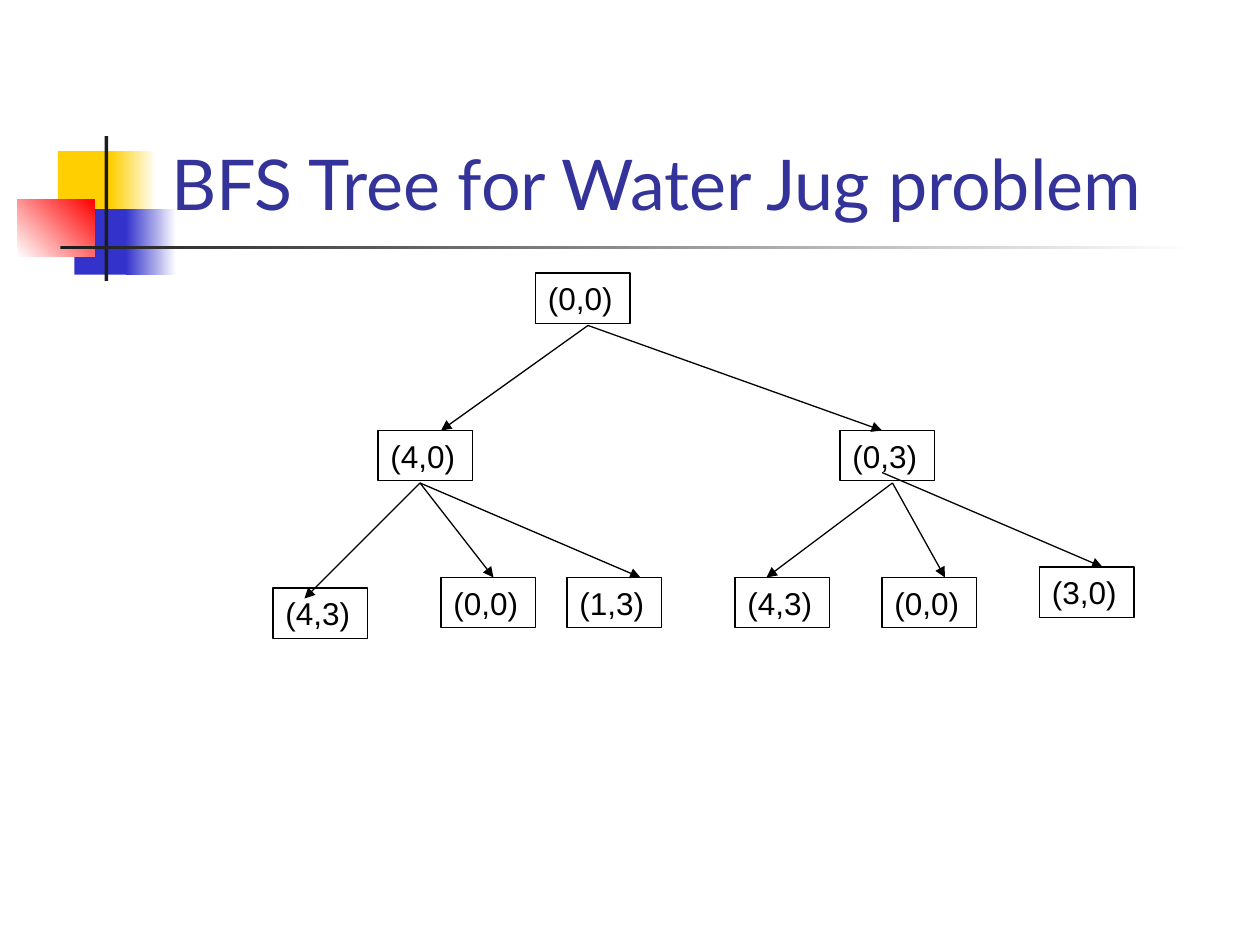
import pptx
import pptx.util
import pptx.dml.color
import pptx.enum.shapes
import pptx.enum.text
import pptx.oxml.ns
import lxml.etree

RGBColor = pptx.dml.color.RGBColor
BLACK = RGBColor(0x00, 0x00, 0x00)
WHITE = RGBColor(0xFF, 0xFF, 0xFF)
INK = RGBColor(0x1C, 0x1C, 0x1C)
YELLOW = RGBColor(0xFF, 0xCF, 0x01)
BLUE = RGBColor(0x33, 0x33, 0xCC)
RED = RGBColor(0xFF, 0x00, 0x00)
NAVY = RGBColor(0x33, 0x33, 0x99)

CELL = pptx.util.Inches(1) / 12
COLS, ROWS = 120, 90
NODE_W, NODE_H = 9, 4.8


def grid(*counts):
    return [round(n * CELL) for n in counts]


def add_rect(s, box):
    kind = pptx.enum.shapes.MSO_SHAPE.RECTANGLE
    sp = s.shapes.add_shape(kind, *grid(*box))
    sp.shadow.inherit = False
    return sp


def add_run(p, text, font, size, color):
    r = p.add_run()
    r.text = text
    r.font.name = font
    r.font.size = pptx.util.Pt(size)
    r.font.color.rgb = color


def add_ornament(s, box):
    x, y, w, h = box
    parts = [
        (0.32, 0.12, 0.48, 0.52, YELLOW, YELLOW, 0),
        (0.74, 0.12, 0.36, 0.52, YELLOW, WHITE, 0),
        (0.45, 0.58, 0.46, 0.52, BLUE, BLUE, 0),
        (0.86, 0.58, 0.40, 0.52, BLUE, WHITE, 0),
        (0.00, 0.50, 0.61, 0.46, WHITE, RED, 45),
        (0.69, 0.00, 0.03, 1.15, INK, INK, 0),
        (0.34, 0.87, 9.00, 0.03, INK, WHITE, 0),
    ]
    for left, top, width, height, start, end, angle in parts:
        sp = add_rect(s, (x + left * w / 9.34, y + top * h / 1.15,
                          width * w / 9.34, height * h / 1.15))
        sp.line.fill.background()
        if start == end:
            sp.fill.solid()
            sp.fill.fore_color.rgb = start
        else:
            sp.fill.gradient()
            sp.fill.gradient_angle = angle
            for stop, color in zip(sp.fill.gradient_stops, (start, end)):
                stop.color.rgb = color


def add_title(s, box, text):
    sp = s.shapes.title
    sp.left, sp.top, sp.width, sp.height = grid(*box)
    sp.element.getparent().append(sp.element)
    tf = sp.text_frame
    tf.auto_size = pptx.enum.text.MSO_AUTO_SIZE.NONE
    tf.vertical_anchor = pptx.enum.text.MSO_ANCHOR.BOTTOM
    p = tf.paragraphs[0]
    p.alignment = pptx.enum.text.PP_ALIGN.LEFT
    add_run(p, text, "Lato", 40, NAVY)


def add_node(s, col, row, text):
    sp = add_rect(s, (col, row, NODE_W, NODE_H))
    sp.fill.background()
    sp.line.color.rgb = BLACK
    sp.line.width = pptx.util.Pt(0.75)
    tf = sp.text_frame
    tf.vertical_anchor = pptx.enum.text.MSO_ANCHOR.TOP
    p = tf.paragraphs[0]
    p.alignment = pptx.enum.text.PP_ALIGN.LEFT
    add_run(p, text, "Arial", 18, BLACK)


def add_arrow(s, start, end):
    kind = pptx.enum.shapes.MSO_CONNECTOR.STRAIGHT
    sp = s.shapes.add_connector(kind, *grid(*start, *end))
    sp.line.color.rgb = BLACK
    sp.line.width = pptx.util.Pt(0.75)
    qn = pptx.oxml.ns.qn
    lxml.etree.SubElement(sp.line._get_or_add_ln(), qn("a:tailEnd"), type="triangle")
    lxml.etree.SubElement(sp.element.spPr, qn("a:effectLst"))


def add_tree(s, box):
    x, y = box[:2]
    nodes = [
        (25, 0, "(0,0)"),
        (10, 15, "(4,0)"), (54, 15, "(0,3)"),
        (0, 30, "(4,3)"), (16, 29, "(0,0)"), (28, 29, "(1,3)"),
        (44, 29, "(4,3)"), (58, 29, "(0,0)"), (73, 28, "(3,0)"),
    ]
    branches = [
        ((30, 5), [(16, 15), (58, 15)]),
        ((14, 20), [(3, 31), (21, 29), (35, 29)]),
        ((59, 20), [(47, 29), (64, 29)]),
        ((58, 19), [(79, 28)]),
    ]
    for col, row, text in nodes:
        add_node(s, x + col, y + row, text)
    for (col, row), ends in branches:
        for end_col, end_row in ends:
            add_arrow(s, (x + col, y + row), (x + end_col, y + end_row))


def main():
    prs = pptx.Presentation()
    prs.slide_width, prs.slide_height = grid(COLS, ROWS)
    s = prs.slides.add_slide(prs.slide_layouts[5])
    add_ornament(s, (1.68, 12.96, 112.08, 13.8))
    add_title(s, (15.12, 2.76, 102.24, 19.2), "BFS Tree for Water Jug problem")
    add_tree(s, (26, 26, 82, 35))
    prs.save("out.pptx")


if __name__ == "__main__":
    main()
